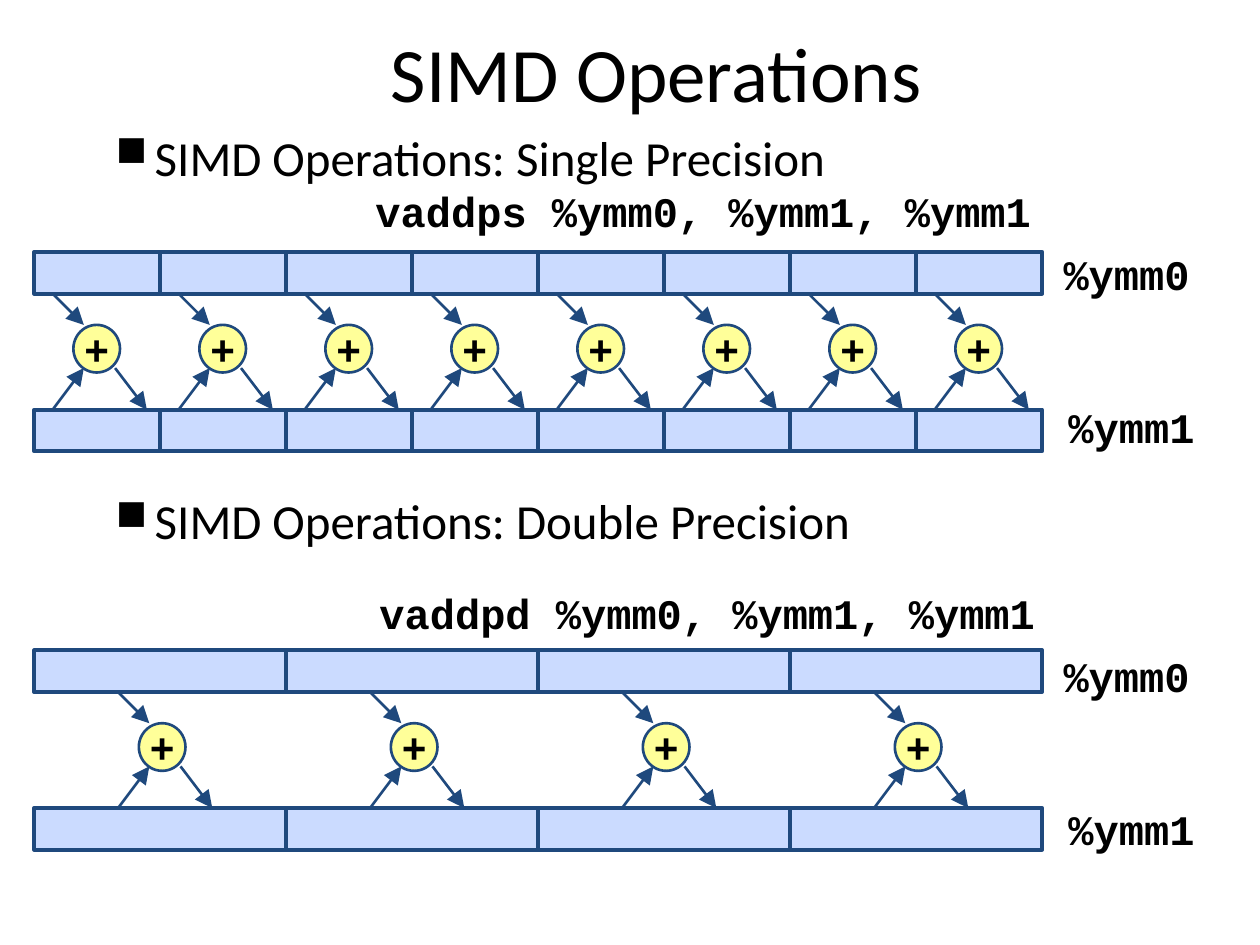
import pptx
import pptx.dml.color
import pptx.enum.shapes
import pptx.enum.text
import pptx.oxml
import pptx.oxml.ns
import pptx.util
from pptx.util import Cm

NAVY, PALE_BLUE, YELLOW, BLACK = "1F497D", "CBDBFF", "FFFF99", "000000"
SHAPE = pptx.enum.shapes.MSO_SHAPE
ALIGN = pptx.enum.text.PP_ALIGN
ANCHOR = pptx.enum.text.MSO_ANCHOR

REGISTER_LEFT, REGISTER_WIDTH, CELL_HEIGHT = 0.69, 20.32, 0.84
ROW_PITCH = 3.18
ADDER_DROP = 1.47
ADDER_ARROWS = [
    ((-0.42, -0.63), (0.21, 0)),
    ((-0.42, 1.71), (0.21, 0.87)),
    ((0.84, 0.87), (1.48, 1.71)),
]


def rgb(value):
    """Return the colour for a hex string."""
    return pptx.dml.color.RGBColor.from_string(value)


def add_xml(parent, tag, **attributes):
    """Append an empty DrawingML element with the given attributes."""
    element = pptx.oxml.parse_xml(f"<{tag} {pptx.oxml.ns.nsdecls('a')}/>")
    for name, value in attributes.items():
        element.set(name, value)
    parent.append(element)


def format_runs(p, font, size, bold=False):
    """Apply font, size and black colour to the runs of a paragraph."""
    for r in p.runs:
        r.font.name = font
        r.font.size = pptx.util.Pt(size)
        r.font.bold = bold
        r.font.color.rgb = rgb(BLACK)


def set_code(sp, text):
    """Write bold code text with narrow insets and no wrapping."""
    tf = sp.text_frame
    tf.word_wrap = False
    tf.margin_left = tf.margin_right = tf.margin_top = tf.margin_bottom = Cm(0.13)
    tf.text = text
    format_runs(tf.paragraphs[0], "Courier New", 24, bold=True)


def add_code(shapes, text, left, top, width):
    """Add a line of code in a text box."""
    sp = shapes.add_textbox(Cm(left), Cm(top), Cm(width), Cm(1.27))
    set_code(sp, text)


def add_outlined(shapes, kind, left, top, width, height, fill, line_width):
    """Add a filled shape with a navy outline."""
    sp = shapes.add_shape(kind, Cm(left), Cm(top), Cm(width), Cm(height))
    sp.shadow.inherit = False
    sp.fill.solid()
    sp.fill.fore_color.rgb = rgb(fill)
    sp.line.color.rgb = rgb(NAVY)
    sp.line.width = pptx.util.Pt(line_width)
    return sp


def add_arrow(shapes, start, end):
    """Add a straight navy arrow between two points."""
    points = [Cm(v) for v in (*start, *end)]
    arrow = shapes.add_connector(pptx.enum.shapes.MSO_CONNECTOR.STRAIGHT, *points)
    arrow.line.color.rgb = rgb(NAVY)
    arrow.line.width = pptx.util.Pt(1.5)
    add_xml(arrow.line._get_or_add_ln(), "a:tailEnd", type="triangle", w="lg", len="lg")
    add_xml(arrow._element.spPr, "a:effectLst")


def add_register(shapes, top, lanes):
    """Add a register divided into equal lanes."""
    width = REGISTER_WIDTH / lanes
    for i in range(lanes):
        left = REGISTER_LEFT + i * width
        add_outlined(shapes, SHAPE.RECTANGLE, left, top, width, CELL_HEIGHT, PALE_BLUE, 2.25)


def add_adder(shapes, left, top):
    """Add a plus circle with its two inputs and one output."""
    sp = add_outlined(shapes, SHAPE.OVAL, left, top, 0.94, 0.96, YELLOW, 1.5)
    set_code(sp, "+")
    sp.text_frame.vertical_anchor = ANCHOR.MIDDLE
    sp.text_frame.paragraphs[0].alignment = ALIGN.CENTER
    for (x1, y1), (x2, y2) in ADDER_ARROWS:
        add_arrow(shapes, (left + x1, top + y1), (left + x2, top + y2))


def add_operation(s, command, command_left, text_top, top, lanes, adder_inset):
    """Add a grouped diagram of one vector addition."""
    shapes = s.shapes.add_group_shape().shapes
    add_code(shapes, command, command_left, text_top, 13.8)
    add_code(shapes, "%ymm0", 21.31, text_top + 1.28, 3)
    add_code(shapes, "%ymm1", 21.41, text_top + 4.36, 3)
    add_register(shapes, top, lanes)
    add_register(shapes, top + ROW_PITCH, lanes)
    for i in range(lanes):
        left = REGISTER_LEFT + i * REGISTER_WIDTH / lanes + adder_inset
        add_adder(shapes, left, top + ADDER_DROP)


def add_title(s, text):
    """Add the centred slide title."""
    tf = s.shapes.add_textbox(Cm(1.12), Cm(0.36), Cm(24.23), Cm(2.16)).text_frame
    tf.word_wrap = True
    tf.vertical_anchor = ANCHOR.MIDDLE
    tf.text = text
    tf.paragraphs[0].alignment = ALIGN.CENTER
    format_runs(tf.paragraphs[0], "Calibri", 44)


def add_headings(s, headings, gap):
    """Add square-bulleted headings separated by a gap in points."""
    tf = s.shapes.add_textbox(Cm(0.81), Cm(2.44), Cm(23.09), Cm(14.94)).text_frame
    tf.word_wrap = True
    tf.text = "\n".join(headings)
    for i, p in enumerate(tf.paragraphs):
        pPr = p._p.get_or_add_pPr()
        pPr.set("marL", str(Cm(2.06)))
        pPr.set("indent", str(Cm(-0.79)))
        p.space_before = pptx.util.Pt(gap if i else 0)
        add_xml(pPr, "a:buSzPct", val="87000")
        add_xml(pPr, "a:buChar", char="■")
        format_runs(p, "Calibri", 28)


def main():
    """Build the slide and save it."""
    prs = pptx.Presentation()
    prs.slide_width, prs.slide_height = Cm(25.4), Cm(19.05)
    s = prs.slides.add_slide(prs.slide_layouts[6])
    add_title(s, "SIMD Operations")
    add_headings(s, ["SIMD Operations: Single Precision",
                     "SIMD Operations: Double Precision"], 174)
    add_operation(s, "vaddpd %ymm0, %ymm1, %ymm1", 7.52, 11.71, 13.11, 4, 2.11)
    add_operation(s, "vaddps %ymm0, %ymm1, %ymm1", 7.44, 3.61, 5.08, 8, 0.79)
    prs.save("out.pptx")


if __name__ == "__main__":
    main()
